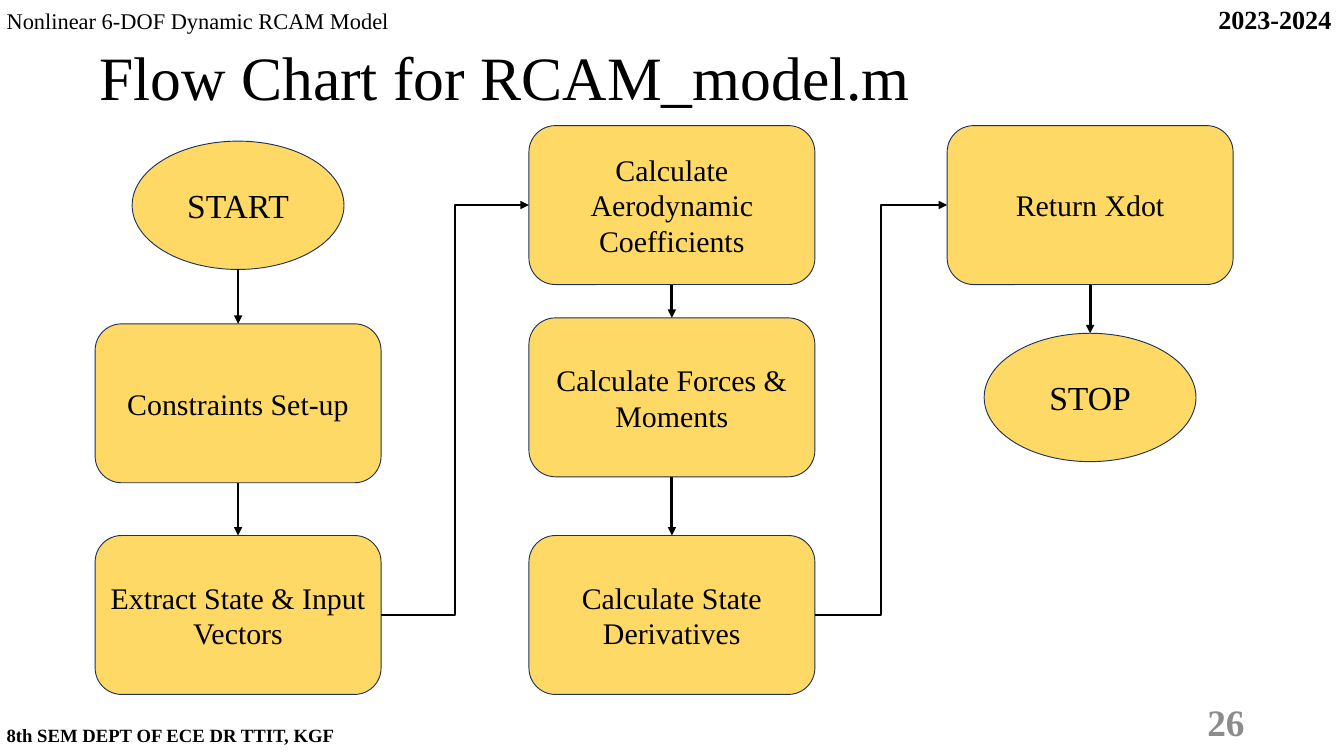
from pptx import Presentation
from pptx.dml.color import RGBColor
from pptx.enum.shapes import MSO_CONNECTOR as CONN, MSO_SHAPE as SHAPE
from pptx.enum.text import MSO_ANCHOR as ANCHOR, PP_ALIGN as ALIGN
from pptx.oxml.ns import qn
from pptx.util import Pt
from lxml import etree

COLORS = {"node": "FFD966", "outline": "1E3256", "ink": "000000", "number": "8C8C8C"}
FONT = "Times New Roman"


def rgb(name):
    return RGBColor.from_string(COLORS[name])


def write(sp, text, size, bold=False, color="ink", align=ALIGN.LEFT,
          anchor=ANCHOR.MIDDLE, spacing=None):
    tf = sp.text_frame
    tf.word_wrap = True
    tf.vertical_anchor = anchor
    for i, line in enumerate(text.split("\n")):
        p = tf.add_paragraph() if i else tf.paragraphs[0]
        p.alignment = align
        if spacing:
            p.line_spacing = spacing
        r = p.add_run()
        r.text = line
        r.font.name, r.font.size, r.font.bold = FONT, Pt(size), bold
        r.font.color.rgb = rgb(color)


prs = Presentation()
prs.slide_width, prs.slide_height = Pt(1440), Pt(810)
s = prs.slides.add_slide(prs.slide_layouts[6])

# Title, header and footer: left, top, width, height, text, format
labels = [
    (99.4, 7.9, 1242, 156.2, "Flow Chart for RCAM_model.m", dict(size=66, spacing=0.9)),
    (1016.6, 751, 324, 43.2, "26",
     dict(size=40, bold=True, color="number", align=ALIGN.RIGHT)),
    (0, 772.6, 525.6, 28.8, "8th SEM DEPT OF ECE DR TTIT, KGF", dict(size=20, bold=True)),
    (0, 0, 542, 38.2, "Nonlinear 6-DOF Dynamic RCAM Model",
     dict(size=24, anchor=ANCHOR.TOP, spacing=1.15)),
    (1298.2, 0, 141.8, 41, "2023-2024", dict(size=28, bold=True, anchor=ANCHOR.TOP)),
]
for x, y, w, h, text, style in labels:
    write(s.shapes.add_textbox(Pt(x), Pt(y), Pt(w), Pt(h)), text, **style)

# Flow columns: centre x, then nodes as kind, top, text
KINDS = {
    "terminal": (SHAPE.OVAL, 227, 137.5, 36),
    "process": (SHAPE.FLOWCHART_ALTERNATE_PROCESS, 306.4, 170.3, 32),
}
columns = [
    (255.1, [("terminal", 151.2, "START"),
             ("process", 347, "Constraints Set-up"),
             ("process", 573.8, "Extract State & Input\nVectors")]),
    (719.9, [("process", 134.6, "Calculate Aerodynamic Coefficients"),
             ("process", 340.6, "Calculate Forces & Moments"),
             ("process", 573.8, "Calculate State Derivatives")]),
    (1168, [("process", 134.6, "Return Xdot"),
            ("terminal", 357.1, "STOP")]),
]
arrows = []
column_end = None
for center, nodes in columns:
    bottom = None
    for kind, top, text in nodes:
        shape, w, h, size = KINDS[kind]
        left, middle = center - w / 2, top + h / 2
        sp = s.shapes.add_shape(shape, Pt(left), Pt(top), Pt(w), Pt(h))
        sp.shadow.inherit = False
        sp.fill.solid()
        sp.fill.fore_color.rgb = rgb("node")
        sp.line.color.rgb = rgb("outline")
        sp.line.width = Pt(1)
        write(sp, text, size, align=ALIGN.CENTER)
        if bottom is not None:
            arrows.append((CONN.STRAIGHT, center, bottom, center, top))
        elif column_end:
            arrows.append((CONN.ELBOW, *column_end, left, middle))
        bottom = top + h
    column_end = (left + w, middle)

# Arrows down each column and across to the next
for kind, x1, y1, x2, y2 in arrows:
    c = s.shapes.add_connector(kind, Pt(x1), Pt(y1), Pt(x2), Pt(y2))
    c.line.color.rgb = rgb("ink")
    c.line.width = Pt(3)
    etree.SubElement(c.line._get_or_add_ln(), qn("a:tailEnd"), type="triangle")
    etree.SubElement(c._element.spPr, qn("a:effectLst"))

prs.save("out.pptx")
